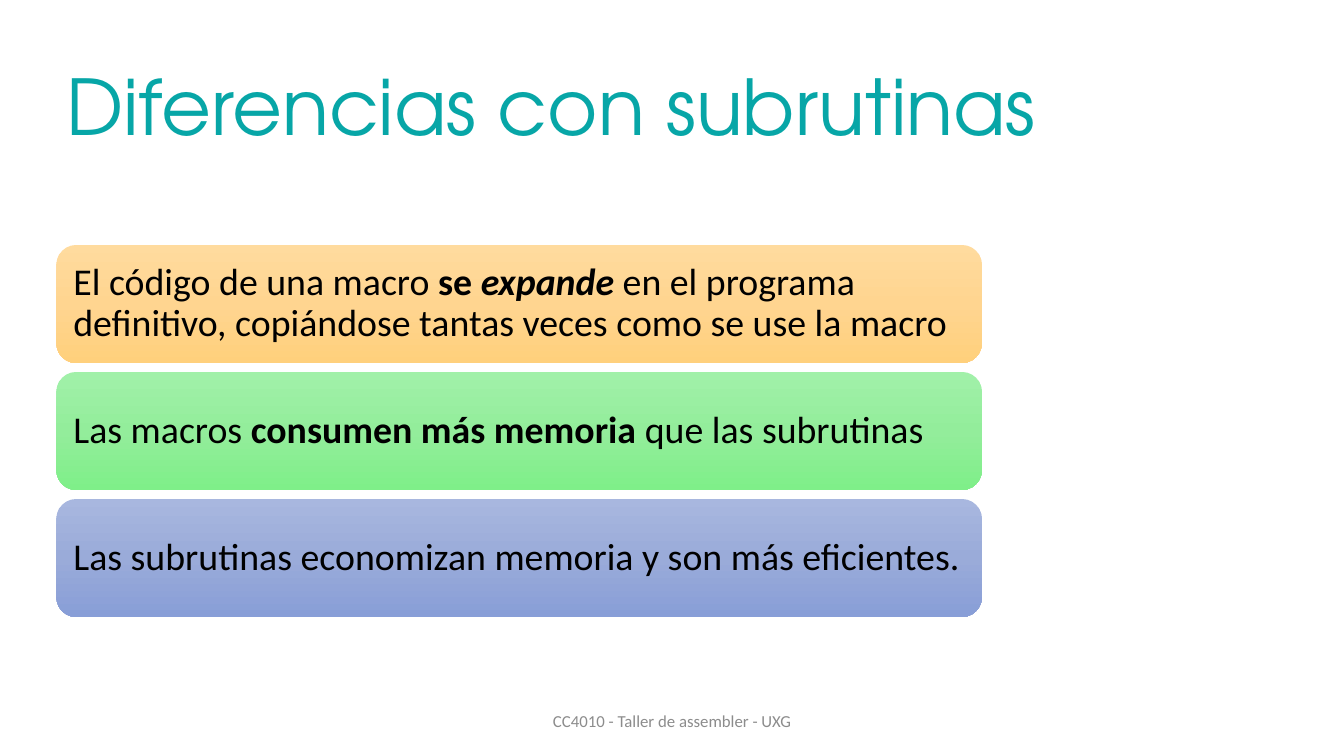
from copy import deepcopy

from pptx import Presentation
from pptx.dml.color import RGBColor
from pptx.enum import shapes, text
from pptx.oxml.ns import qn
from pptx.util import Pt

TEAL = RGBColor(0x07, 0xA6, 0xA7)
GREY = RGBColor(0x8C, 0x8C, 0x8C)
BLACK = RGBColor(0x00, 0x00, 0x00)
ORANGES = [RGBColor.from_string(c) for c in ("FFDB9E", "FFD590", "FFD07C")]
GREENS = [RGBColor.from_string(c) for c in ("A1F0A9", "93ED9B", "7FEF89")]
BLUES = [RGBColor.from_string(c) for c in ("A8B7DF", "9AABD9", "889ED7")]

PLAIN, BOLD, BOLD_ITALIC = {}, {"bold": True}, {"bold": True, "italic": True}
DIFFERENCES = [
    (ORANGES, [("El código de una macro ", PLAIN), ("se ", BOLD),
               ("expande ", BOLD_ITALIC),
               ("en el programa definitivo, copiándose tantas veces "
                "como se use la macro", PLAIN)]),
    (GREENS, [("Las macros ", PLAIN), ("consumen más memoria ", BOLD),
              ("que las subrutinas", PLAIN)]),
    (BLUES, [("Las subrutinas economizan memoria y son más eficientes.",
              PLAIN)]),
]


def write(frame, runs, font, size, color, align, spacing):
    frame.word_wrap = True
    frame.vertical_anchor = text.MSO_ANCHOR.MIDDLE
    line = frame.paragraphs[0]
    line.alignment = align
    line.line_spacing = spacing
    for words, style in runs:
        run = line.add_run()
        run.text = words
        run.font.color.rgb = color
        for key, value in {"name": font, "size": Pt(size), **style}.items():
            setattr(run.font, key, value)


def shade(shape, colors):
    """Fill from top to bottom with three evenly spaced colours."""
    shape.fill.gradient()
    shape.fill.gradient_angle = 270
    first = shape._element.spPr.find(".//" + qn("a:gs"))
    first.addnext(deepcopy(first))
    for i, (stop, color) in enumerate(zip(shape.fill.gradient_stops, colors)):
        stop.position = i / 2
        stop.color.rgb = color


def add_title(slide, left, top, width, height):
    title = slide.shapes.add_textbox(Pt(left), Pt(top), Pt(width), Pt(height))
    write(title.text_frame, [("Diferencias con subrutinas", PLAIN)],
          "TeX Gyre Adventor", 54.9, TEAL, text.PP_ALIGN.LEFT, 0.9)


def add_differences(slide, left, top, width, height, gap=6.5):
    bar_height = (height - gap * (len(DIFFERENCES) - 1)) / len(DIFFERENCES)
    for i, (colors, runs) in enumerate(DIFFERENCES):
        bar = slide.shapes.add_shape(
            shapes.MSO_SHAPE.ROUNDED_RECTANGLE, Pt(left),
            Pt(top + i * (bar_height + gap)), Pt(width), Pt(bar_height))
        bar.shadow.inherit = False
        bar.line.fill.background()
        shade(bar, colors)
        frame = bar.text_frame
        for side in ("left", "top", "right", "bottom"):
            setattr(frame, f"margin_{side}", Pt(8))
        write(frame, runs, "Calibri", 27, BLACK, text.PP_ALIGN.LEFT, 0.9)


def add_footer(slide, left, top, width, height):
    footer = slide.shapes.add_textbox(Pt(left), Pt(top), Pt(width), Pt(height))
    write(footer.text_frame, [("CC4010 - Taller de assembler - UXG", PLAIN)],
          "Calibri", 12, GREY, text.PP_ALIGN.CENTER, 1.0)


def main():
    deck = Presentation()
    deck.slide_width, deck.slide_height = Pt(960), Pt(540)
    slide = deck.slides.add_slide(deck.slide_layouts[6])
    add_title(slide, 40.3, 26.6, 723, 104.4)
    add_differences(slide, 40.3, 175, 661, 265.7)
    add_footer(slide, 318.2, 500.4, 324, 28.8)
    deck.save("out.pptx")


if __name__ == "__main__":
    main()
